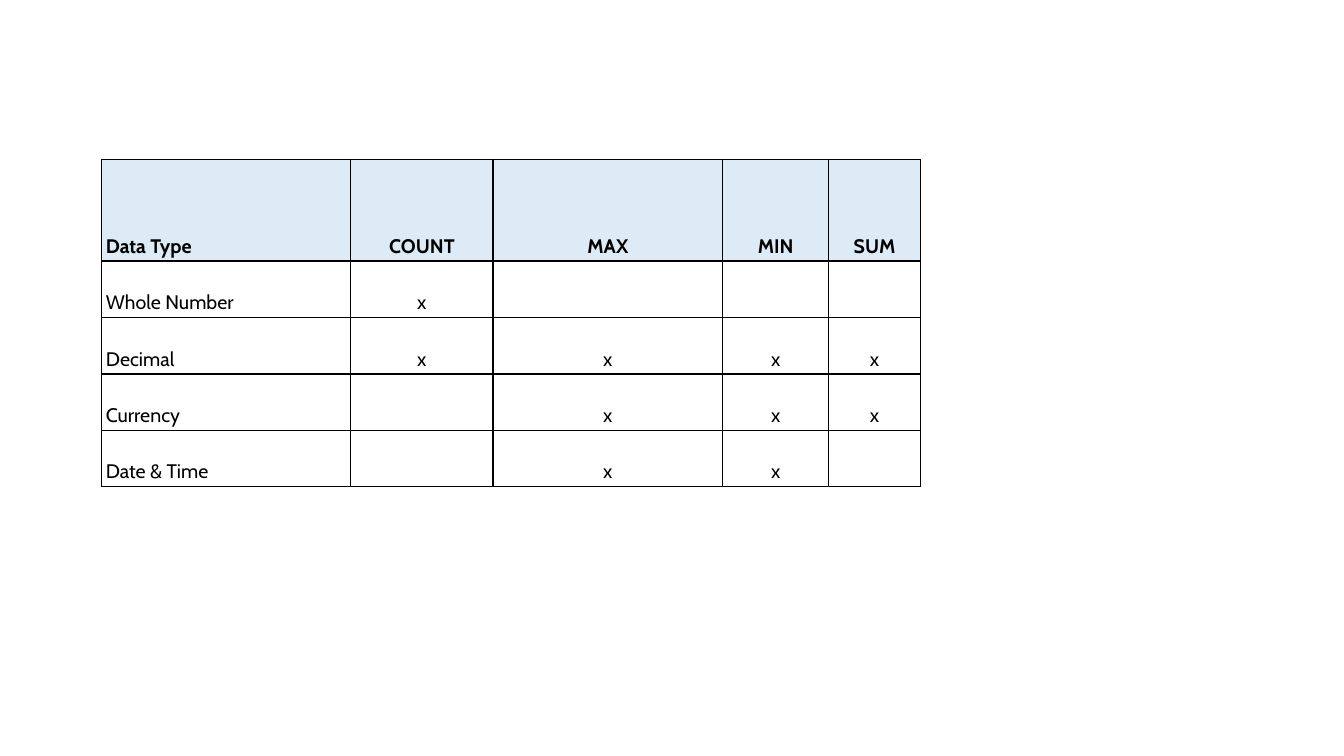
from dataclasses import dataclass

import lxml.etree
import pptx
import pptx.dml.color
import pptx.enum.text
import pptx.oxml.ns
import pptx.table
import pptx.util

Inches = pptx.util.Inches
Align = pptx.enum.text.PP_ALIGN

FONT = "Cabin"
BLACK = "000000"
WHITE = "FFFFFF"
HEADER_BLUE = "DDEBF7"

LEFT, TOP = 1.01, 1.58
LABEL_WIDTH = 2.47
HEADER_HEIGHT, ROW_HEIGHT = 1.01, 0.56


@dataclass(frozen=True)
class Function:
    name: str
    width: float


@dataclass(frozen=True)
class DataType:
    name: str
    supported: tuple[str, ...]


FUNCTIONS = [
    Function("COUNT", 1.41),
    Function("MAX", 2.28),
    Function("MIN", 1.05),
    Function("SUM", 0.91),
]
DATA_TYPES = [
    DataType("Whole Number", ("COUNT",)),
    DataType("Decimal", ("COUNT", "MAX", "MIN", "SUM")),
    DataType("Currency", ("MAX", "MIN", "SUM")),
    DataType("Date & Time", ("MAX", "MIN")),
]


def color(value: str) -> pptx.dml.color.RGBColor:
    return pptx.dml.color.RGBColor.from_string(value)


def add_borders(cell: pptx.table._Cell, *, width: float = 1, line: str = BLACK) -> None:
    properties = cell._tc.get_or_add_tcPr()
    qn = pptx.oxml.ns.qn
    for side in ("lnL", "lnR", "lnT", "lnB"):
        border = lxml.etree.SubElement(properties, qn(f"a:{side}"), w=str(pptx.util.Pt(width)))
        solid = lxml.etree.SubElement(border, qn("a:solidFill"))
        lxml.etree.SubElement(solid, qn("a:srgbClr"), val=line)


def write_text(cell: pptx.table._Cell, text: str, *, size: float = 14,
               bold: bool = False, align: Align = Align.CENTER) -> None:
    para = cell.text_frame.paragraphs[0]
    para.alignment = align
    para.font.size = pptx.util.Pt(size)
    if text:
        span = para.add_run()
        span.text = text
        span.font.name = FONT
        span.font.size = pptx.util.Pt(size)
        span.font.bold = bold
        span.font.color.rgb = color(BLACK)


def style_cell(cell: pptx.table._Cell, *, fill: str) -> None:
    cell.margin_left = cell.margin_right = Inches(0.04)
    cell.margin_top = cell.margin_bottom = Inches(0.03)
    cell.vertical_anchor = pptx.enum.text.MSO_ANCHOR.BOTTOM
    add_borders(cell)
    cell.fill.solid()
    cell.fill.fore_color.rgb = color(fill)


def main() -> None:
    deck = pptx.Presentation()
    deck.slide_width, deck.slide_height = Inches(13.33), Inches(7.5)
    page = deck.slides.add_slide(deck.slide_layouts[6])

    # Table contents: one row per data type, one column per function
    rows = [["Data Type"] + [function.name for function in FUNCTIONS]]
    for kind in DATA_TYPES:
        marks = ["x" if function.name in kind.supported else "" for function in FUNCTIONS]
        rows.append([kind.name] + marks)

    # Table grid
    widths = [LABEL_WIDTH] + [function.width for function in FUNCTIONS]
    heights = [HEADER_HEIGHT] + [ROW_HEIGHT] * len(DATA_TYPES)
    table = page.shapes.add_table(
        len(heights), len(widths), Inches(LEFT), Inches(TOP),
        Inches(sum(widths)), Inches(sum(heights))).table
    table.horz_banding = False
    for column, width in zip(table.columns, widths):
        column.width = Inches(width)
    for row, height in zip(table.rows, heights):
        row.height = Inches(height)

    # Cells
    for row_index, row_texts in enumerate(rows):
        header = row_index == 0
        for column_index, text in enumerate(row_texts):
            cell = table.cell(row_index, column_index)
            style_cell(cell, fill=HEADER_BLUE if header else WHITE)
            write_text(cell, text, bold=header,
                       align=Align.CENTER if column_index else Align.LEFT)

    deck.save("out.pptx")


if __name__ == "__main__":
    main()
